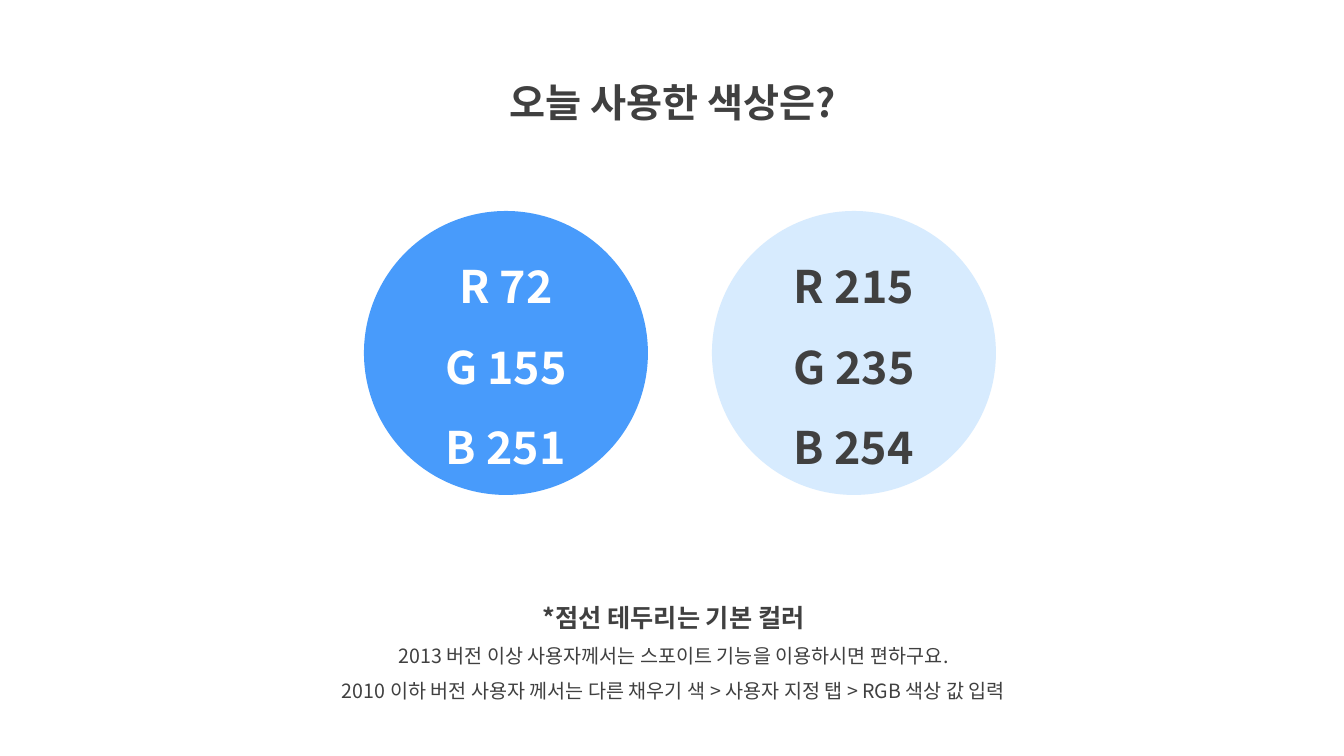
from lxml import etree
from pptx import Presentation
from pptx import util as u
from pptx.dml.color import RGBColor
from pptx.enum import shapes, text
from pptx.oxml.ns import qn

WIDE, HIGH = 1344, 756
SCALE = 12192000 / WIDE
FACE = "Noto Sans CJK KR"
DARK = RGBColor(64, 64, 64)
WHITE = RGBColor(255, 255, 255)
BLUE = RGBColor(72, 155, 251)
PALE = RGBColor(215, 235, 254)

HEAD = "오늘 사용한 색상은?"
NOTES = [
    "*점선 테두리는 기본 컬러",
    "2013 버전 이상 사용자께서는 스포이트 기능을 이용하시면 편하구요.",
    "2010 이하 버전 사용자 께서는 다른 채우기 색 > 사용자 지정 탭 > RGB 색상 값 입력",
]


def px(count):
    return u.Emu(round(count * SCALE))


def place(shape, box):
    shape.left, shape.top, shape.width, shape.height = map(px, box)


def style(para, size, color, bold=True):
    para.alignment = text.PP_ALIGN.CENTER
    para.line_spacing = 1.5
    for run in para.runs:
        font = run.font
        font.name, font.size, font.bold = FACE, u.Pt(size), bold
        font.color.rgb = color
        latin = font._element.find(qn("a:latin"))
        latin.addnext(etree.Element(qn("a:ea"), typeface=FACE))


def fit(frame):
    frame.word_wrap = True
    frame.auto_size = text.MSO_AUTO_SIZE.SHAPE_TO_FIT_TEXT
    frame.vertical_anchor = text.MSO_ANCHOR.TOP


def add_head(slide, box):
    title = slide.shapes.title
    place(title, box)
    frame = title.text_frame
    frame.text = HEAD
    fit(frame)
    style(frame.paragraphs[0], 28, DARK)


def add_disc(slide, box, fill, ink):
    disc = slide.shapes.add_shape(shapes.MSO_SHAPE.OVAL, *map(px, box))
    disc.shadow.inherit = False
    disc.fill.solid()
    disc.fill.fore_color.rgb = fill
    disc.line.fill.background()
    frame = disc.text_frame
    frame.text = "\n".join(f"{key} {part}" for key, part in zip("RGB", fill))
    frame.vertical_anchor = text.MSO_ANCHOR.MIDDLE
    for para in frame.paragraphs:
        style(para, 32, ink)


def add_discs(slide, box):
    left, top, width, size = box
    pairs = [(BLUE, WHITE), (PALE, DARK)]
    for i, (fill, ink) in enumerate(pairs):
        add_disc(slide, (left + i * (width - size), top, size, size), fill, ink)


def add_notes(slide, box):
    frame = slide.shapes.add_textbox(*map(px, box)).text_frame
    frame.text = "\n".join(NOTES)
    fit(frame)
    first, *rest = frame.paragraphs
    style(first, 18, DARK)
    for para in rest:
        style(para, 14, DARK, False)


def main():
    deck = Presentation()
    deck.slide_width, deck.slide_height = px(WIDE), px(HIGH)
    slide = deck.slides.add_slide(deck.slide_layouts[5])
    add_head(slide, (439, 50, 467, 73))
    add_discs(slide, (364, 211, 632, 284))
    add_notes(slide, (271, 582, 805, 127))
    deck.save("out.pptx")


if __name__ == "__main__":
    main()
